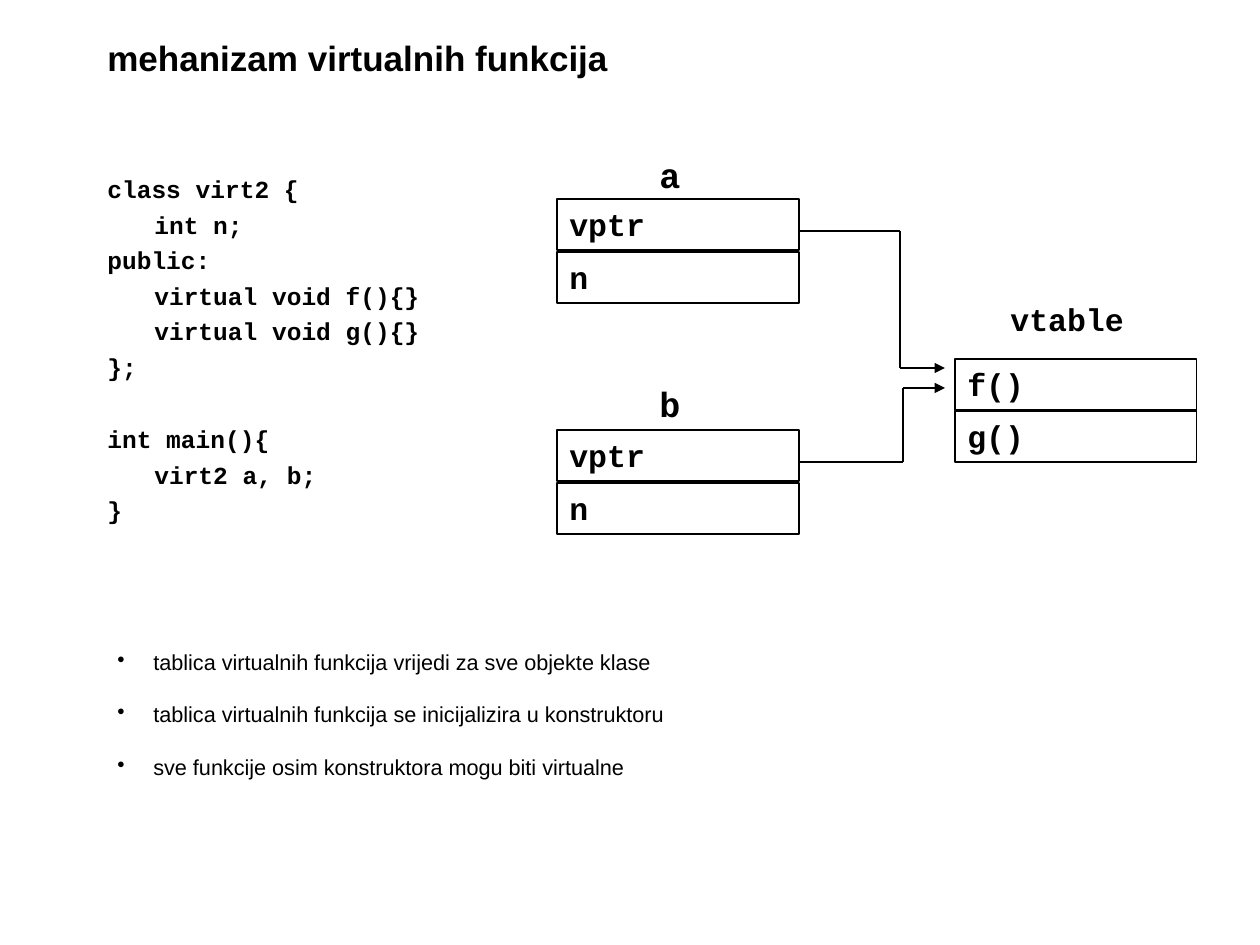
from itertools import pairwise
from lxml.etree import SubElement as Sub
from pptx import Presentation
from pptx.dml.color import RGBColor as RGB
from pptx.enum.shapes import MSO_CONNECTOR as Link, MSO_SHAPE as Kind
from pptx.enum.text import MSO_ANCHOR as Anchor, PP_ALIGN as Align
from pptx.oxml.ns import qn
from pptx.util import Emu, Pt

# Content
TITLE = "mehanizam virtualnih funkcija"
CODE = [
    ["class virt2 {", "\tint n;", "public:", "\tvirtual void f(){}",
     "\tvirtual void g(){}", "};"],
    ["int main(){", "\tvirt2 a, b;", "}"],
]
NOTES = [
    "tablica virtualnih funkcija vrijedi za sve objekte klase",
    "tablica virtualnih funkcija se inicijalizira u konstruktoru",
    "sve funkcije osim konstruktora mogu biti virtualne",
]
# Label, its place and style; cells, their corner and step
TABLES = [
    ("a", (647, 147, 47, 55), "name", ["vptr", "n"], (557, 199), 53),
    ("b", (647, 376, 47, 55), "name", ["vptr", "n"], (557, 430), 53),
    ("vtable", (998, 294, 147, 51), "cell", ["f()", "g()"], (955, 359), 52),
]
ARROWS = [
    [(798, 231), (900, 231), (900, 368), (945, 368)],
    [(798, 462), (903, 462), (903, 388), (945, 388)],
]

# Theme
INK = RGB(0, 0, 0)
THEME = {
    "title": dict(name="Arial", size=Pt(20), bold=True),
    "code": dict(name="Courier New", size=Pt(14), bold=True),
    "name": dict(name="Courier New", size=Pt(20), bold=True),
    "cell": dict(name="Courier New", size=Pt(18), bold=True),
    "note": dict(name="Arial", size=Pt(12.4), bold=False),
}
LINE = Pt(0.75)
CELL_W, CELL_H = 242, 51
CODE_GAP, PART_GAP = Pt(3.5), Pt(24.7)
PX = 914400 // 126


def px(*vals):
    return [Emu(v * PX) for v in vals]


def write(shape, lines, style, anchor=Anchor.TOP, top=6, hang=0):
    frame = shape.text_frame
    form = dict(word_wrap=True, vertical_anchor=anchor, margin_left=Emu(91440),
                margin_right=Emu(0), margin_top=Emu(top * PX),
                margin_bottom=Emu(0))
    for key, val in form.items():
        setattr(frame, key, val)
    for i, line in enumerate(lines):
        para = frame.paragraphs[0] if i == 0 else frame.add_paragraph()
        para.alignment = Align.LEFT
        run = para.add_run()
        run.text = line
        for key, val in THEME[style].items():
            setattr(run.font, key, val)
        run.font.color.rgb = INK
        if hang:
            props = para._p.get_or_add_pPr()
            props.set("marL", str(hang * PX))
            props.set("indent", str(-hang * PX))
    return frame.paragraphs


def text(slide, place, lines, style, **form):
    return write(slide.shapes.add_textbox(*px(*place)), lines, style, **form)


def cell(slide, place, word):
    box = slide.shapes.add_shape(Kind.RECTANGLE, *px(*place))
    box.shadow.inherit = False
    box.fill.background()
    box.line.color.rgb = INK
    box.line.width = LINE
    write(box, [word], "cell")


def arrow(slide, points):
    for start, end in pairwise(points):
        line = slide.shapes.add_connector(Link.STRAIGHT, *px(*start, *end))
        line.line.color.rgb = INK
        line.line.width = LINE
        if end == points[-1]:
            Sub(line.line._get_or_add_ln(), qn("a:tailEnd"), type="triangle")
        Sub(line._element.spPr, qn("a:effectLst"))


def main():
    deck = Presentation()
    deck.slide_width, deck.slide_height = px(1260, 945)
    slide = deck.slides.add_slide(deck.slide_layouts[6])

    # Title and code
    text(slide, (95, 31, 1071, 53), [TITLE], "title",
         anchor=Anchor.MIDDLE, top=0)
    paras = text(slide, (95, 168, 357, 410), sum(CODE, []), "code", hang=47)
    for i, para in enumerate(paras):
        para.space_before = PART_GAP if i == len(CODE[0]) else CODE_GAP

    # Object layouts and the shared table
    for label, place, style, words, (x, y), step in TABLES:
        text(slide, place, [label], style)
        for i, word in enumerate(words):
            cell(slide, (x, y + i * step, CELL_W, CELL_H), word)
    for points in ARROWS:
        arrow(slide, points)

    # Notes
    for i, note in enumerate(NOTES):
        place = (105, 641 + round(i * 52.5), 1071, 42)
        para, = text(slide, place, [note], "note",
                     anchor=Anchor.MIDDLE, top=0, hang=36)
        Sub(para._p.get_or_add_pPr(), qn("a:buChar"), char="•")

    deck.save("out.pptx")


if __name__ == "__main__":
    main()
